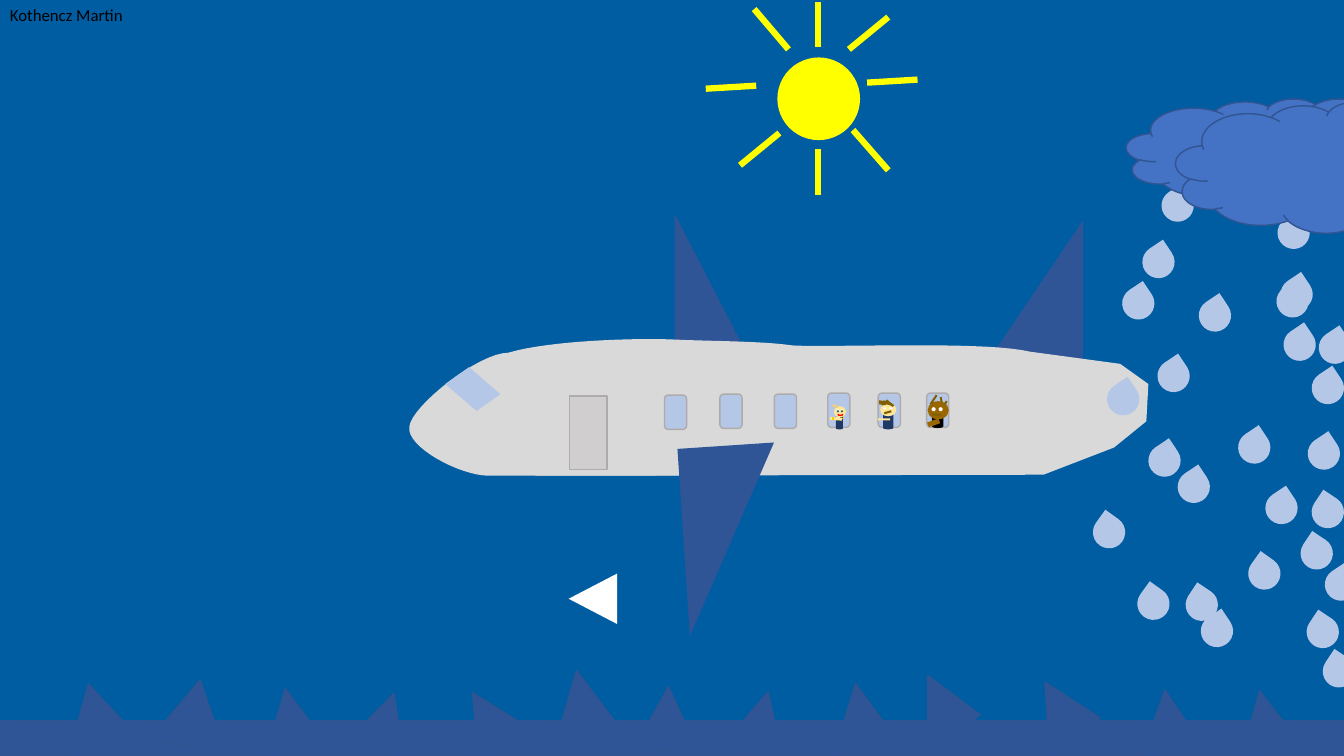
from lxml.etree import SubElement
from pptx import Presentation
from pptx.dml.color import RGBColor
from pptx.enum.shapes import MSO_CONNECTOR, MSO_SHAPE as S
from pptx.oxml.ns import qn
from pptx.util import Inches, Pt

SKY = RGBColor(0x00, 0x5D, 0xA2)
NAVY = RGBColor(0x2F, 0x55, 0x97)
NAVY_EDGE = RGBColor(0x32, 0x54, 0x91)
CLOUD = RGBColor(0x44, 0x72, 0xC4)
WATER = RGBColor(0xB4, 0xC7, 0xE7)
YELLOW = RGBColor(0xFF, 0xFF, 0x00)
HULL = RGBColor(0xD9, 0xD9, 0xD9)
DOOR = RGBColor(0xD0, 0xCE, 0xCE)
FRAME = RGBColor(0xAF, 0xAB, 0xAB)
WHITE = RGBColor(0xFF, 0xFF, 0xFF)
BLACK = RGBColor(0x00, 0x00, 0x00)
SUIT = RGBColor(0x20, 0x38, 0x64)
SKIN = RGBColor(0xFF, 0xE6, 0x99)
BROWN = RGBColor(0x99, 0x66, 0x00)
HAIR = RGBColor(0x80, 0x60, 0x00)
BLOND = RGBColor(0xFF, 0xCC, 0x66)
AMBER = RGBColor(0xFF, 0xCC, 0x00)
GOLD = RGBColor(0xFF, 0xC0, 0x00)
RED = RGBColor(0xFF, 0x00, 0x00)

COLUMNS, ROWS = 1333, 750  # square cells of 0.01 inch
CURVE_STEPS = 16


def bezier(start, curve):
    """Points along a cubic curve given as six numbers after its start."""
    knots = [start, curve[:2], curve[2:4], curve[4:]]
    for step in range(1, CURVE_STEPS + 1):
        t = step / CURVE_STEPS
        weights = ((1 - t) ** 3, 3 * t * (1 - t) ** 2, 3 * t * t * (1 - t), t ** 3)
        yield tuple(sum(w * k[axis] for w, k in zip(weights, knots)) for axis in (0, 1))


class Scene:
    label_format = {"name": "Calibri", "size": Pt(12), "bold": False}

    def __init__(self, deck, sky):
        self.cell = deck.slide_width / COLUMNS
        slide = deck.slides.add_slide(deck.slide_layouts[6])
        slide.background.fill.solid()
        slide.background.fill.fore_color.rgb = sky
        self.shapes = slide.shapes

    def grid(self, *cells):
        return [round(n * self.cell) for n in cells]

    def paint(self, shape, fill, edge, weight):
        shape.shadow.inherit = False
        if fill is None:
            shape.fill.background()
        else:
            shape.fill.solid()
            shape.fill.fore_color.rgb = fill
        if edge is None:
            shape.line.fill.background()
        else:
            shape.line.color.rgb = edge
            shape.line.width = Pt(weight)

    def preset(self, kind, box, fill=None, edge=None, weight=1, turn=0, flip=None):
        shape = self.shapes.add_shape(kind, *self.grid(*box))
        self.paint(shape, fill, edge, weight)
        shape.rotation = turn
        if flip:
            shape.element.spPr.find(qn("a:xfrm")).set(flip, "1")

    def stroke(self, ends, color, weight):
        line = self.shapes.add_connector(MSO_CONNECTOR.STRAIGHT, *self.grid(*ends))
        line.line.color.rgb = color
        line.line.width = Pt(weight)
        SubElement(line.element.spPr, qn("a:effectLst"))

    def outline(self, start, steps, fill=None, edge=None, weight=1):
        points = [start]
        for step in steps:
            points += [step] if len(step) == 2 else bezier(points[-1], step)
        points = [tuple(self.grid(*point)) for point in points]
        builder = self.shapes.build_freeform(*points[0], scale=1.0)
        builder.add_line_segments(points[1:], close=fill is not None)
        self.paint(builder.convert_to_shape(), fill, edge, weight)

    def label(self, box, text, color):
        frame = self.shapes.add_textbox(*self.grid(*box)).text_frame
        frame.word_wrap = True
        frame.text = text
        font = frame.paragraphs[0].runs[0].font
        for name, value in self.label_format.items():
            setattr(font, name, value)
        font.color.rgb = color


def draw_sun(scene):
    scene.preset(S.OVAL, (771, 57, 82, 82), YELLOW)
    for ray in [(782, 49, 748, 9), (811, 47, 811, 2), (842, 49, 881, 17),
                (860, 82, 910, 79), (700, 88, 750, 85), (811, 193, 811, 148),
                (881, 169, 846, 129), (734, 164, 773, 132)]:
        scene.stroke(ray, YELLOW, 4.5)


def draw_plane(scene):
    # Tail, far wing, hull, near wing
    scene.preset(S.RIGHT_TRIANGLE, (978, 219, 96, 142), NAVY, flip="flipH")
    scene.preset(S.RIGHT_TRIANGLE, (669, 212, 96, 186), NAVY)
    scene.outline((531, 361), [(788, 343), (866, 344, 979, 339, 1022, 349), (1111, 361),
                               (1139, 381), (1137, 418), (1105, 444), (1035, 471),
                               (531, 472)], HULL)
    scene.outline((504, 350), [(544, 338, 630, 335, 671, 337), (712, 339, 796, 338, 805, 349),
                               (776, 349, 706, 397, 697, 417), (688, 438, 721, 472, 750, 472),
                               (485, 472), (456, 472, 402, 443, 406, 423),
                               (409, 402, 475, 350, 504, 350)], HULL)
    scene.preset(S.RIGHT_TRIANGLE, (678, 442, 96, 186), NAVY, turn=356.2, flip="flipV")
    # Cockpit glass, door, windows
    scene.preset(S.PARALLELOGRAM, (445, 372, 48, 28), WATER, turn=40.7)
    scene.preset(S.RECTANGLE, (565, 393, 37, 73), DOOR, FRAME)
    for left, top in [(659, 392), (714, 391), (768, 391), (821, 390), (871, 390), (919, 390)]:
        scene.preset(S.ROUNDED_RECTANGLE, (left, top, 22, 34), WATER, FRAME)


def draw_passengers(scene):
    # Dark-haired passenger
    scene.preset(S.CAN, (876, 410, 10, 16), SUIT)
    scene.preset(S.OVAL, (873, 400, 16, 13), SKIN)
    scene.preset(S.RECTANGLE, (871, 415, 12, 2), SKIN)
    for left in (876, 882):
        scene.preset(S.OVAL, (left, 404, 3, 2), WHITE)
    for hair in [(876, 398, 884, 401), (879, 401, 872, 400), (872, 398, 886, 402),
                 (884, 408, 877, 410), (876, 402, 874, 398), (879, 397, 886, 403)]:
        scene.stroke(hair, HAIR, 1.5)

    # Brown passenger
    scene.preset(S.CAN, (925, 413, 10, 11), BLACK, BLACK)
    scene.preset(S.OVAL, (920, 398, 21, 18), BROWN)
    for left in (924, 931):
        scene.preset(S.OVAL, (left, 404, 4, 4), WHITE)
    for hair in [(933, 394, 934, 399), (923, 401, 929, 392),
                 (939, 398, 937, 401), (933, 412, 924, 411)]:
        scene.stroke(hair, HAIR, 1.5)
    scene.preset(S.RECTANGLE, (920, 417, 12, 5), BROWN, turn=341)

    # Blond passenger
    scene.preset(S.CAN, (829, 412, 7, 14), SUIT)
    scene.preset(S.OVAL, (827, 403, 12, 11), SKIN)
    scene.preset(S.ARC, (828, 406, 10, 10), edge=GOLD, weight=0.5, turn=130.1)
    scene.preset(S.RECTANGLE, (823, 414, 12, 3), SKIN, turn=3.2)
    scene.preset(S.STAR_4_POINT, (835, 406, 4, 3), YELLOW)
    scene.outline((831, 411), [(832, 412), (835, 412), (836, 411)], edge=RED)
    scene.preset(S.OVAL, (829, 413, 4, 2), SKIN, turn=3.1)
    for left in (830, 834):
        scene.preset(S.OVAL, (left, 406, 2, 2), WHITE)
        scene.preset(S.OVAL, (left, 407, 2, 2), NAVY)
    scene.stroke((831, 404, 826, 402), BLOND, 1.5)
    scene.stroke((826, 417, 826, 414), AMBER, 1.5)


def draw_rain(scene):
    drops = {
        (326.3, None): [(1308, 329), (1189, 297), (1228, 428), (1152, 188), (1098, 380),
                        (1255, 488), (1148, 357), (1270, 276), (1267, 215), (1133, 244),
                        (1301, 369), (1273, 326), (1168, 467), (1297, 434), (1266, 283),
                        (1113, 285), (1139, 441), (1314, 564), (1191, 610)],
        (305.6, None): [(1084, 512), (1238, 553), (1128, 583)],
        (33.7, "flipH"): [(1296, 611), (1301, 492), (1290, 533), (1312, 650), (1176, 584)],
    }
    for (turn, flip), places in drops.items():
        for left, top in places:
            scene.preset(S.TEAR, (left, top, 32, 32), WATER, turn=turn, flip=flip)
    for cloud in [(1117, 98, 272, 103), (1166, 101, 292, 130)]:
        scene.preset(S.CLOUD, cloud, CLOUD, NAVY_EDGE)


def draw_waves(scene):
    for left, top, height, turn in [
            (69, 693, 64, 285.8), (159, 693, 64, 309.8), (258, 702, 52, 286.2),
            (343, 708, 52, 314.5), (459, 698, 52, 265), (547, 684, 52, 286.1),
            (628, 702, 52, 298.8), (717, 707, 52, 310.8), (823, 697, 52, 286.9),
            (907, 683, 52, 270), (1026, 688, 52, 266.3), (1128, 704, 52, 289.3),
            (1225, 704, 52, 285.5)]:
        scene.preset(S.FLOWCHART_MERGE, (left, top, 78, height), NAVY, NAVY_EDGE, turn=turn)


def main():
    deck = Presentation()
    deck.slide_width, deck.slide_height = Inches(13.33), Inches(7.5)
    scene = Scene(deck, SKY)
    # Author and direction arrow
    scene.label((0, 0, 225, 30), "Kothencz Martin", BLACK)
    scene.preset(S.ISOSCELES_TRIANGLE, (563, 570, 50, 48), WHITE, turn=270)
    # Scenery from back to front
    draw_sun(scene)
    scene.preset(S.RECTANGLE, (0, 715, COLUMNS, ROWS - 715), NAVY, NAVY_EDGE)
    draw_plane(scene)
    draw_passengers(scene)
    draw_rain(scene)
    draw_waves(scene)
    deck.save("out.pptx")


if __name__ == "__main__":
    main()
